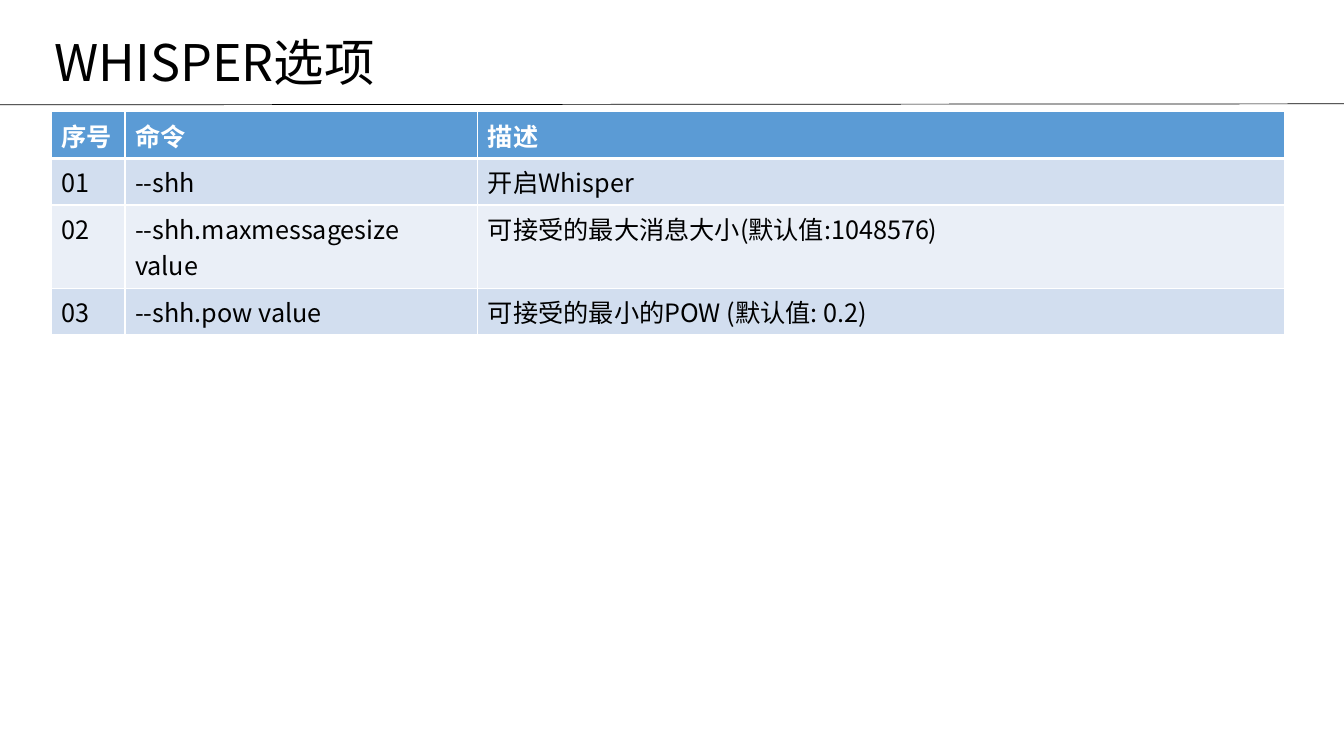
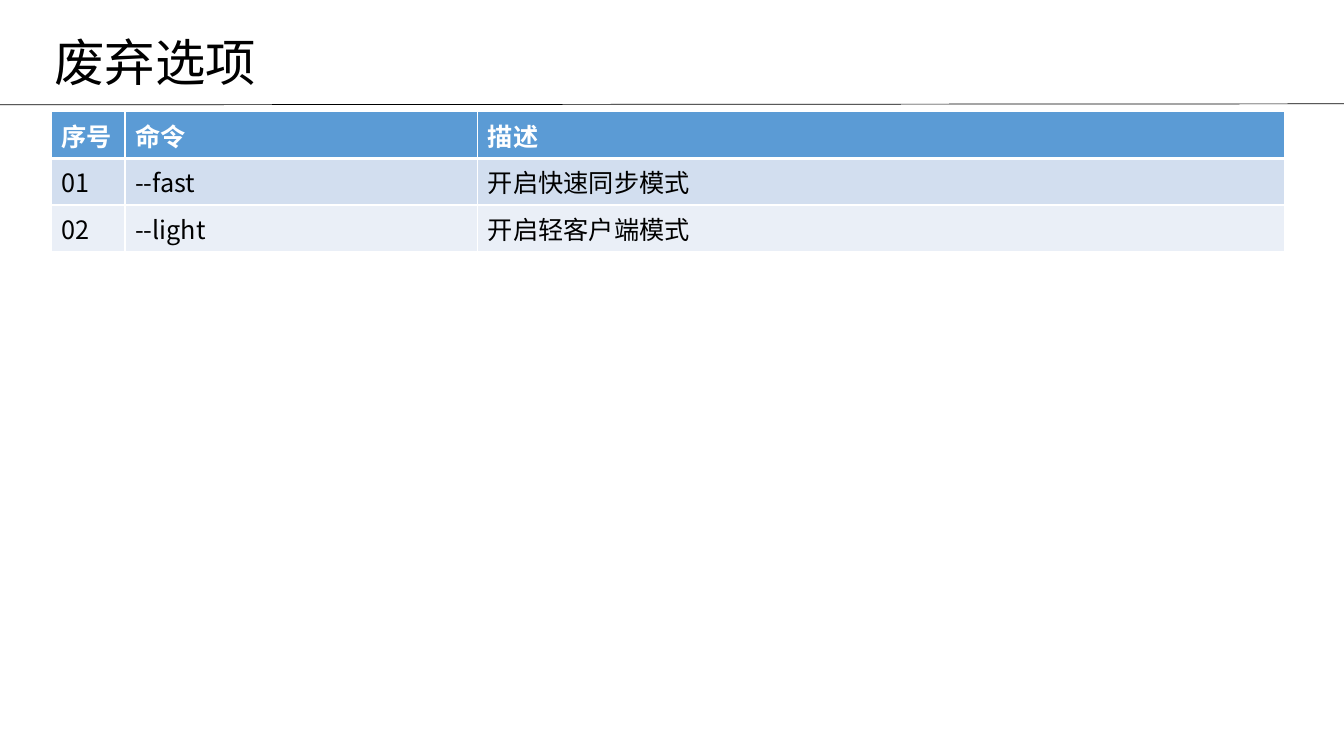
"""Build two slides that list command-line options in tables."""
from lxml import etree
from pptx import Presentation
from pptx import util as u
from pptx.dml.color import RGBColor
from pptx.enum import shapes, text
from pptx.oxml.ns import qn

FONT = "Noto Sans CJK SC"
BLACK = RGBColor(0x00, 0x00, 0x00)
WHITE = RGBColor(0xFF, 0xFF, 0xFF)
BLUE = RGBColor(0x5B, 0x9B, 0xD5)
BANDS = RGBColor(0xD2, 0xDE, 0xEF), RGBColor(0xEA, 0xEF, 0xF7)

W, H = u.Inches(13.33), u.Inches(7.5)
TITLE_BOX = u.Inches(0.44), u.Inches(0.25), u.Inches(6.1), u.Inches(0.72)
TABLE_AT = u.Inches(0.51), u.Inches(1.11)
COLS = [u.Inches(w) for w in (0.73, 3.5, 8)]
ROW_H = u.Inches(0.42)

HEADER = "序号", "命令", "描述"
SLIDES = [
    ("WHISPER选项", [
        ("--shh", "开启Whisper"),
        ("--shh.maxmessagesize value", "可接受的最大消息大小(默认值:1048576)"),
        ("--shh.pow value", "可接受的最小的POW (默认值: 0.2)"),
    ]),
    ("废弃选项", [
        ("--fast", "开启快速同步模式"),
        ("--light", "开启轻客户端模式"),
    ]),
]


def set_font(p, size, color, bold=False):
    """Format a paragraph, for Latin and East Asian letters alike."""
    f = p.font
    f.name, f.size, f.bold = FONT, u.Pt(size), bold
    f.color.rgb = color
    latin = p._p.pPr.find(qn("a:defRPr")).find(qn("a:latin"))
    ea = etree.Element(qn("a:ea"), typeface=FONT)
    latin.addnext(ea)


def set_borders(cell, **widths):
    """Draw white cell borders, 1 pt unless a side is given a width."""
    tcPr = cell._tc.get_or_add_tcPr()
    for i, side in enumerate("LRTB"):
        ln = etree.Element(qn(f"a:ln{side}"), w=str(u.Pt(widths.get(side, 1))))
        fill = etree.SubElement(ln, qn("a:solidFill"))
        etree.SubElement(fill, qn("a:srgbClr"), val=str(WHITE))
        tcPr.insert(i, ln)


def add_title(s, title, box):
    """Put the title in its placeholder, moved to the given box."""
    sp = s.shapes.title
    sp.left, sp.top, sp.width, sp.height = box
    tf = sp.text_frame
    tf.text = title
    tf.vertical_anchor = text.MSO_ANCHOR.MIDDLE
    tf.auto_size = text.MSO_AUTO_SIZE.NONE
    p = tf.paragraphs[0]
    p.alignment = text.PP_ALIGN.LEFT
    set_font(p, 36, BLACK)


def add_rule(s):
    """Draw the thin line below the title, across the slide."""
    line = s.shapes.add_connector(shapes.MSO_CONNECTOR.STRAIGHT,
                                  0, u.Inches(1.04), W, u.Inches(1.03))
    line.line.color.rgb = BLACK
    line.line.width = u.Pt(0.5)
    etree.SubElement(line._element.spPr, qn("a:effectLst"))


def add_options(s, options, left, top):
    """Add a numbered, banded table of options."""
    rows = [HEADER] + [(f"{n:02}", *o) for n, o in enumerate(options, 1)]
    table = s.shapes.add_table(len(rows), len(COLS), left, top,
                               sum(COLS), ROW_H * len(rows)).table
    for col, width in zip(table.columns, COLS):
        col.width = width
    for i, row in enumerate(rows):
        for j, value in enumerate(row):
            cell = table.cell(i, j)
            cell.text = value
            cell.fill.solid()
            cell.fill.fore_color.rgb = BANDS[(i - 1) % 2] if i else BLUE
            set_font(cell.text_frame.paragraphs[0], 18,
                     BLACK if i else WHITE, bold=not i)
            set_borders(cell, T=3 if i == 1 else 1, B=1 if i else 3)


def main():
    """Build and save the slides."""
    prs = Presentation()
    prs.slide_width, prs.slide_height = W, H
    for title, options in SLIDES:
        s = prs.slides.add_slide(prs.slide_layouts.get_by_name("Title Only"))
        add_rule(s)
        add_title(s, title, TITLE_BOX)
        add_options(s, options, *TABLE_AT)
    prs.save("out.pptx")


if __name__ == "__main__":
    main()
